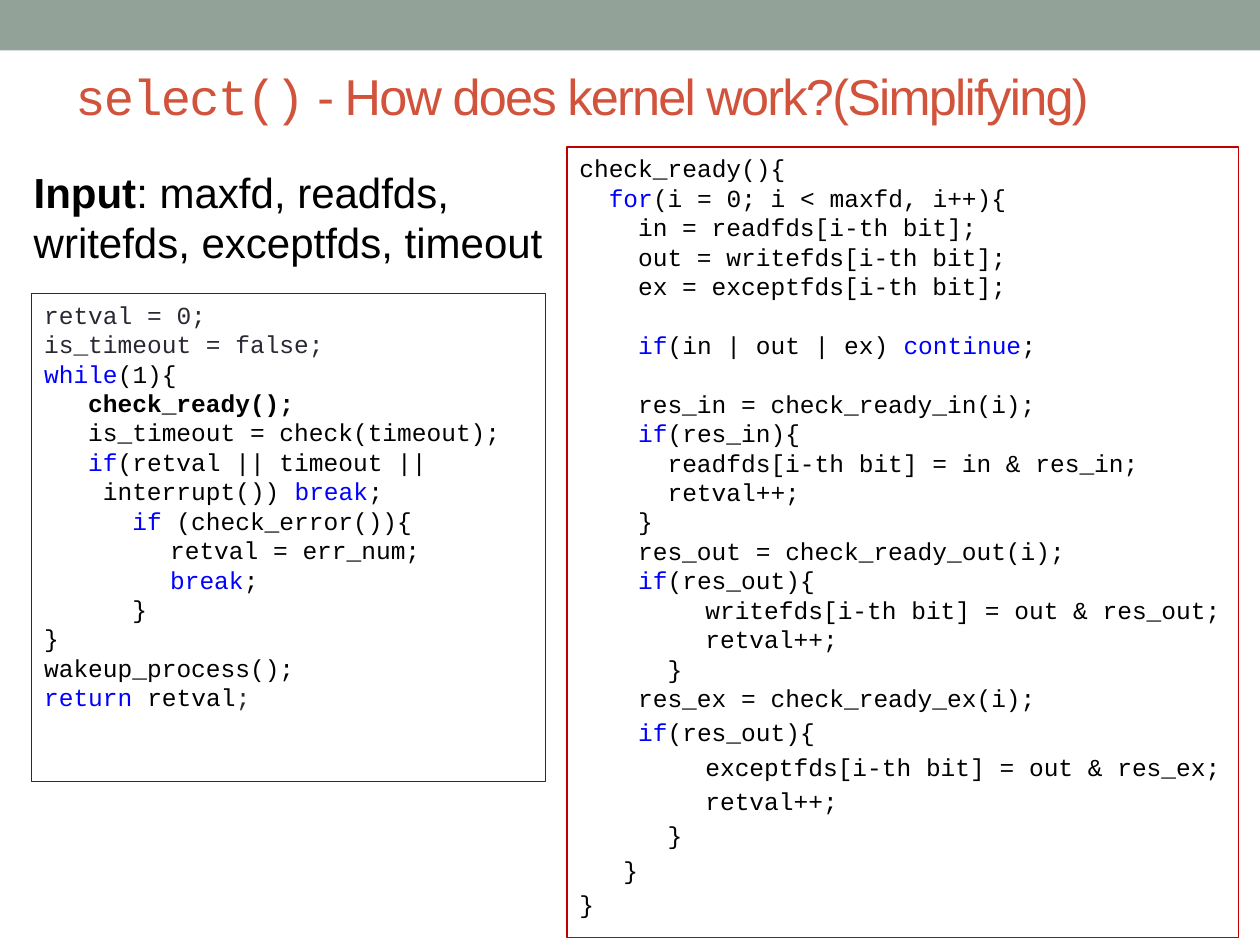
import pptx
import pptx.util
import pptx.dml.color
import pptx.enum.shapes
import pptx.enum.text

Cm = pptx.util.Cm
Pt = pptx.util.Pt
COLORS = {"bar": "93A299", "title": "D2533C", "border": "C00000",
          "ink": "292934", "keyword": "0000FF", "text": "000000"}
SANS, MONO = "Arial", "Courier New"
CODE_SIZE = 14
CHAR = CODE_SIZE * 0.6
LINE = CODE_SIZE * 1.2
TAB = 72 / CHAR

CHECK_READY = [
    (0, "check_ready(){"),
    (2, "`for`(i = 0; i < maxfd, i++){"),
    (4, "in = readfds[i-th bit];"),
    (4, "out = writefds[i-th bit];"),
    (4, "ex = exceptfds[i-th bit];"),
    (4, "`if`(in | out | ex) `continue`;", LINE),
    (4, "res_in = check_ready_in(i);", LINE),
    (4, "`if`(res_in){"),
    (6, "readfds[i-th bit] = in & res_in;"),
    (6, "retval++;"),
    (4, "}"),
    (4, "res_out = check_ready_out(i);"),
    (4, "`if`(res_out){"),
    (TAB, "writefds[i-th bit] = out & res_out;"),
    (TAB, "retval++;"),
    (6, "}"),
    (4, "res_ex = check_ready_ex(i);"),
    (4, "`if`(res_out){", 2.8),
    (TAB, "exceptfds[i-th bit] = out & res_ex;", 2.8),
    (TAB, "retval++;", 2.8),
    (6, "}", 2.8),
    (3, "}", 2.8),
    (0, "}", 2.8),
]
MAIN_LOOP = [
    (0, "retval = 0;"),
    (0, "is_timeout = false;"),
    (0, "`while`(1){"),
    (3, "check_ready();"),
    (3, "is_timeout = check(timeout);"),
    (3, "`if`(retval || timeout || interrupt()) `break`;"),
    (6, "`if` (check_error()){"),
    (TAB, "retval = err_num;"),
    (TAB, "`break`;"),
    (6, "}"),
    (0, "}"),
    (0, "wakeup_process();"),
    (0, "`return` retval`;"),
]


def rgb(name):
    return pptx.dml.color.RGBColor.from_string(COLORS[name])


def add_run(p, text, font, size, color, bold=False):
    r = p.add_run()
    r.text = text
    r.font.name, r.font.size, r.font.bold = font, Pt(size), bold
    r.font.color.rgb = rgb(color)
    return r


def add_box(s, box, fill=None, line=None, width=0.75):
    sp = s.shapes.add_shape(pptx.enum.shapes.MSO_SHAPE.RECTANGLE, *box)
    sp.shadow.inherit = False
    if fill:
        sp.fill.solid()
        sp.fill.fore_color.rgb = rgb(fill)
    else:
        sp.fill.background()
    if line:
        sp.line.color.rgb = rgb(line)
        sp.line.width = Pt(width)
    else:
        sp.line.fill.background()
    return sp


def add_text(s, box):
    tf = s.shapes.add_textbox(*box).text_frame
    tf.word_wrap = True
    return tf


def add_title(s, box):
    tf = add_text(s, box)
    tf.vertical_anchor = pptx.enum.text.MSO_ANCHOR.MIDDLE
    for text, font in (("select()", MONO), (" - How does kernel work?(Simplifying)", SANS)):
        r = add_run(tf.paragraphs[0], text, font, 28.8, "title")
        r.font._element.set("spc", "-100")


def add_input(s, box):
    p = add_text(s, box).paragraphs[0]
    add_run(p, "Input", SANS, 24, "text", True)
    add_run(p, ": maxfd, readfds, writefds, exceptfds, timeout", SANS, 24, "text")


def add_code(s, box, lines, line, width, hang=0):
    tf = add_box(s, box, line=line, width=width).text_frame
    tf.word_wrap = True
    tf.vertical_anchor = pptx.enum.text.MSO_ANCHOR.TOP
    for i, (indent, text, *gap) in enumerate(lines):
        p = tf.paragraphs[0] if i == 0 else tf.add_paragraph()
        p.alignment = pptx.enum.text.PP_ALIGN.LEFT
        p.line_spacing = Pt(LINE)
        p.space_before = Pt(gap[0] if gap else 0)
        pPr = p._p.get_or_add_pPr()
        pPr.set("marL", str(Pt((indent + hang) * CHAR)))
        pPr.set("indent", str(-Pt(hang * CHAR)))
        for j, part in enumerate(text.split("`")):
            if part:
                add_run(p, part, MONO, CODE_SIZE, "keyword" if j % 2 else "text")
    return tf.paragraphs


def add_main_loop(s, box):
    ps = add_code(s, box, MAIN_LOOP, "ink", 0.75, hang=1)
    for p in (ps[0], ps[1], ps[-1]):
        p.runs[-1].font.color.rgb = rgb("ink")
    ps[3].runs[0].font.bold = True


prs = pptx.Presentation()
prs.slide_width, prs.slide_height = Cm(25.4), Cm(19.05)
s = prs.slides.add_slide(prs.slide_layouts[6])
add_box(s, (0, 0, prs.slide_width, Cm(1.02)), fill="bar")
add_title(s, (Cm(1.27), Cm(1.07), Cm(22.86), Cm(1.7)))
add_code(s, (Cm(11.43), Cm(2.97), Cm(13.54), Cm(15.93)), CHECK_READY, "border", 1)
add_main_loop(s, (Cm(0.64), Cm(5.92), Cm(10.36), Cm(9.83)))
add_input(s, (Cm(0.43), Cm(3.23), Cm(11), Cm(3.33)))
prs.save("out.pptx")
